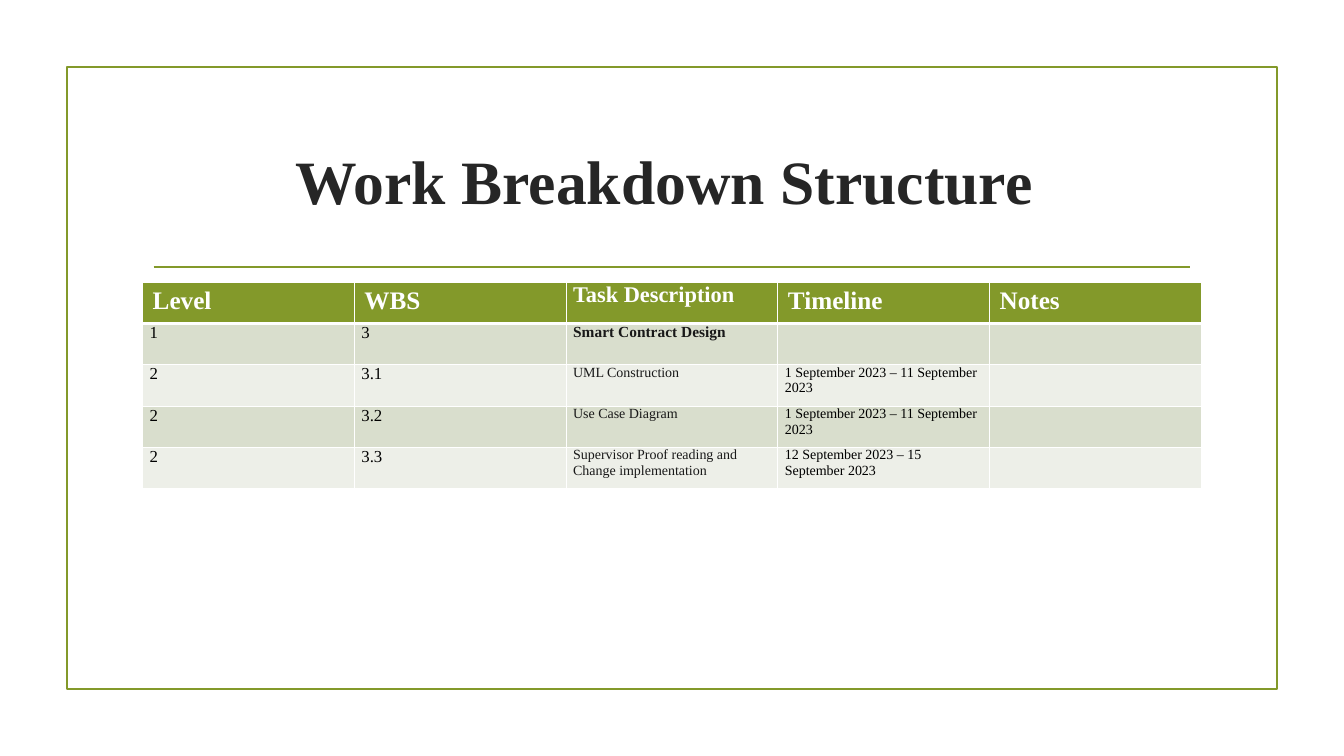
from dataclasses import dataclass

from lxml.etree import SubElement
from pptx import Presentation
from pptx.dml.color import RGBColor
from pptx.enum.shapes import MSO_CONNECTOR, MSO_SHAPE
from pptx.enum.text import MSO_ANCHOR, PP_ALIGN
from pptx.oxml import parse_xml
from pptx.oxml.ns import nsdecls, qn
from pptx.util import Inches, Pt

# Grid: five columns centred on the slide, rows of equal height (inches)
SLIDE_WIDTH, SLIDE_HEIGHT = 13.33, 7.5
COLUMN, ROW = 2.1, 0.41
GRID_WIDTH = 5 * COLUMN
GRID_LEFT = (SLIDE_WIDTH - GRID_WIDTH) / 2
TITLE_TOP, RULE_TOP, TABLE_TOP = 1.07, 2.65, 2.8
FRAME_WIDTH, FRAME_HEIGHT, RULE_WIDTH = 12, 6.17, 10.28

FONT = "Times New Roman"
GREEN, WHITE, BLACK = "83992A", "FFFFFF", "000000"
TITLE_COLOR, TASK_COLOR = "262626", "191919"
BANDS = ("D9DECD", "EDEFE8")


@dataclass(frozen=True)
class TextStyle:
    size: float
    color: str
    bold: bool = False
    tight: bool = True


@dataclass(frozen=True)
class Task:
    level: str
    number: str
    description: str
    timeline: str = ""


TITLE = TextStyle(44, TITLE_COLOR, bold=True)
HEADING = TextStyle(18, WHITE, bold=True, tight=False)
TASK_HEADING = TextStyle(16, WHITE, bold=True)
NUMBER = TextStyle(12, BLACK)
GROUP = TextStyle(11, TASK_COLOR, bold=True)
DESCRIPTION = TextStyle(10, TASK_COLOR)
DATES = TextStyle(10, BLACK)

HEADINGS = ("Level", "WBS", "Task Description", "Timeline", "Notes")
TASKS = (
    Task("1", "3", "Smart Contract Design"),
    Task("2", "3.1", "UML Construction", "1 September 2023 – 11 September 2023"),
    Task("2", "3.2", "Use Case Diagram", "1 September 2023 – 11 September 2023"),
    Task("2", "3.3", "Supervisor Proof reading and Change implementation",
         "12 September 2023 – 15 September 2023"),
)


def rgb(color: str) -> RGBColor:
    return RGBColor.from_string(color)


def write(text_frame, text: str, style: TextStyle):
    paragraph = text_frame.paragraphs[0]
    paragraph.text = text
    font = paragraph.font
    font.name, font.size, font.bold = FONT, Pt(style.size), style.bold
    font.color.rgb = rgb(style.color)
    return paragraph


def style_line(line) -> None:
    line.color.rgb = rgb(GREEN)
    line.width = Pt(1.25)


def add_frame(slide) -> None:
    frame = slide.shapes.add_shape(
        MSO_SHAPE.RECTANGLE,
        Inches((SLIDE_WIDTH - FRAME_WIDTH) / 2), Inches((SLIDE_HEIGHT - FRAME_HEIGHT) / 2),
        Inches(FRAME_WIDTH), Inches(FRAME_HEIGHT))
    frame.shadow.inherit = False
    frame.fill.background()
    style_line(frame.line)


def add_rule(slide) -> None:
    left = (SLIDE_WIDTH - RULE_WIDTH) / 2
    rule = slide.shapes.add_connector(
        MSO_CONNECTOR.STRAIGHT, Inches(left), Inches(RULE_TOP),
        Inches(left + RULE_WIDTH), Inches(RULE_TOP))
    style_line(rule.line)
    SubElement(rule._element.spPr, qn("a:effectLst"))


def set_title(slide) -> None:
    title = slide.shapes.title
    title.left, title.top = Inches(GRID_LEFT), Inches(TITLE_TOP)
    title.width, title.height = Inches(GRID_WIDTH), Inches(3.5 * ROW)
    title.text_frame.vertical_anchor = MSO_ANCHOR.MIDDLE
    paragraph = write(title.text_frame, "Work Breakdown Structure ", TITLE)
    paragraph.alignment = PP_ALIGN.CENTER


def set_borders(cell, top: float, bottom: float) -> None:
    properties = cell._tc.get_or_add_tcPr()
    sides = (("lnL", 1), ("lnR", 1), ("lnT", top), ("lnB", bottom))
    for index, (side, width) in enumerate(sides):
        properties.insert(index, parse_xml(
            f'<a:{side} {nsdecls("a")} w="{Pt(width)}"><a:solidFill>'
            f'<a:srgbClr val="{WHITE}"/></a:solidFill></a:{side}>'))


def fill_cell(cell, text: str, style: TextStyle, fill: str) -> None:
    cell.fill.solid()
    cell.fill.fore_color.rgb = rgb(fill)
    if style.tight:
        cell.margin_left = cell.margin_right = Inches(0.07)
        cell.margin_top = cell.margin_bottom = 0
    write(cell.text_frame, text, style)


def add_task_table(slide) -> None:
    row_count = len(TASKS) + 1
    table = slide.shapes.add_table(
        row_count, len(HEADINGS), Inches(GRID_LEFT), Inches(TABLE_TOP),
        Inches(GRID_WIDTH), Inches(row_count * ROW)).table

    # Header row, with a thick edge below it
    for column, heading in enumerate(HEADINGS):
        style = TASK_HEADING if heading == "Task Description" else HEADING
        cell = table.cell(0, column)
        fill_cell(cell, heading, style, GREEN)
        set_borders(cell, top=1, bottom=3)

    # Task rows in alternating bands
    for row, task in enumerate(TASKS, start=1):
        description_style = GROUP if task.level == "1" else DESCRIPTION
        entries = (
            (task.level, NUMBER), (task.number, NUMBER),
            (task.description, description_style), (task.timeline, DATES), ("", DATES))
        for column, (text, style) in enumerate(entries):
            cell = table.cell(row, column)
            fill_cell(cell, text, style, BANDS[(row - 1) % 2])
            set_borders(cell, top=3 if row == 1 else 1, bottom=1)


def main() -> None:
    presentation = Presentation()
    presentation.slide_width = Inches(SLIDE_WIDTH)
    presentation.slide_height = Inches(SLIDE_HEIGHT)
    slide = presentation.slides.add_slide(presentation.slide_layouts[5])
    add_frame(slide)
    add_rule(slide)
    set_title(slide)
    add_task_table(slide)
    presentation.save("out.pptx")


if __name__ == "__main__":
    main()
